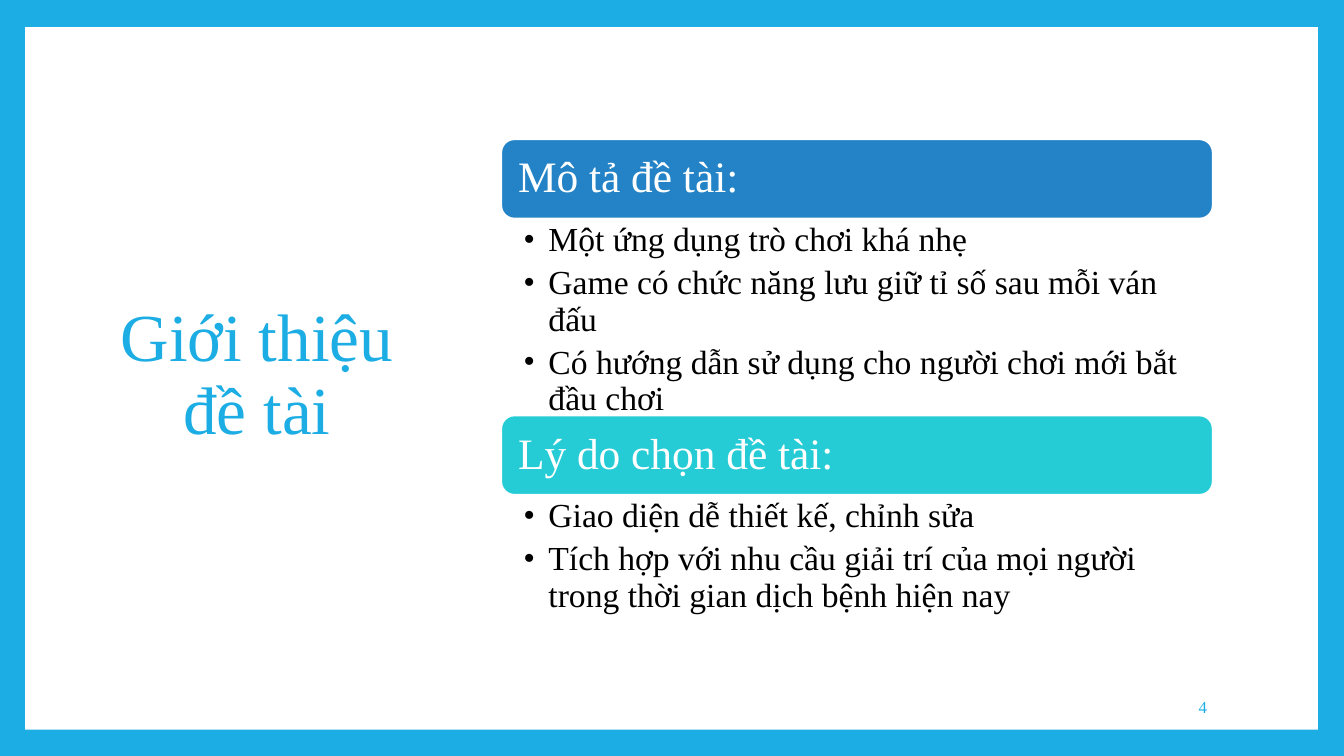
from dataclasses import dataclass

from lxml.etree import SubElement
from pptx import Presentation
from pptx.dml.color import RGBColor
from pptx.enum.shapes import MSO_SHAPE as Shp
from pptx.enum.text import MSO_ANCHOR as Anchor, PP_ALIGN as Align
from pptx.oxml.ns import qn
from pptx.shapes.autoshape import Shape
from pptx.slide import Slide
from pptx.text.text import TextFrame, _Paragraph as Paragraph
from pptx.util import Inches, Pt


@dataclass(frozen=True)
class Theme:
    font: str = "Times New Roman"
    accent: str = "1CADE4"
    paper: str = "FFFFFF"
    ink: str = "000000"
    title_size: float = 48
    heading_size: float = 31
    bullet_size: float = 24
    number_size: float = 12
    line_spacing: float = 0.9


@dataclass(frozen=True)
class Box:
    left: float
    top: float
    width: float
    height: float

    def lengths(self) -> list[int]:
        return [Inches(v) for v in (self.left, self.top, self.width, self.height)]


@dataclass(frozen=True)
class Section:
    heading: str
    color: str
    bullets: tuple[str, ...]
    body_height: float


THEME = Theme()
LIST_LEFT, LIST_TOP, LIST_WIDTH, HEADING_HEIGHT = 4.97, 1.38, 7.06, 0.79
SECTIONS = (
    Section("Mô tả đề tài:", "2383C6", (
        "Một ứng dụng trò chơi khá nhẹ",
        "Game có chức năng lưu giữ tỉ số sau mỗi ván đấu",
        "Có hướng dẫn sử dụng cho người chơi mới bắt đầu chơi",
    ), 1.95),
    Section("Lý do chọn đề tài:", "25CCD6", (
        "Giao diện dễ thiết kế, chỉnh sửa",
        "Tích hợp với nhu cầu giải trí của mọi người trong thời gian dịch bệnh hiện nay",
    ), 1.23),
)


def rgb(color: str) -> RGBColor:
    return RGBColor.from_string(color)


def add_run(p: Paragraph, text: str, size: float, color: str) -> None:
    r = p.add_run()
    r.text = text
    r.font.name = THEME.font
    r.font.size = Pt(size)
    r.font.color.rgb = rgb(color)


def set_frame(tf: TextFrame, anchor: Anchor, left: float = 0.1,
              right: float = 0.1, edge: float = 0.05) -> None:
    """Wrap the text and set its anchor and insets, in inches."""
    tf.word_wrap = True
    tf.vertical_anchor = anchor
    tf.margin_left, tf.margin_right = Inches(left), Inches(right)
    tf.margin_top = tf.margin_bottom = Inches(edge)


def add_shape(s: Slide, kind: Shp, box: Box, color: str) -> Shape:
    sp = s.shapes.add_shape(kind, *box.lengths())
    sp.shadow.inherit = False
    sp.fill.solid()
    sp.fill.fore_color.rgb = rgb(color)
    sp.line.fill.background()
    return sp


def add_label(s: Slide, box: Box, text: str, size: float, align: Align,
              spacing: float = 1.0) -> None:
    tf = s.shapes.add_textbox(*box.lengths()).text_frame
    set_frame(tf, Anchor.MIDDLE)
    p = tf.paragraphs[0]
    p.alignment = align
    p.line_spacing = spacing
    add_run(p, text, size, THEME.accent)


def add_heading(s: Slide, box: Box, section: Section) -> None:
    sp = add_shape(s, Shp.ROUNDED_RECTANGLE, box, section.color)
    sp.line.color.rgb = rgb(THEME.paper)
    sp.line.width = Pt(1.5)
    tf = sp.text_frame
    set_frame(tf, Anchor.MIDDLE, 0.13, 0.13, 0.13)
    p = tf.paragraphs[0]
    p.alignment = Align.LEFT
    p.line_spacing = THEME.line_spacing
    add_run(p, section.heading, THEME.heading_size, THEME.paper)


def set_bullet(p: Paragraph) -> None:
    pPr = p._p.get_or_add_pPr()
    pPr.set("marL", str(Inches(0.25)))
    pPr.set("indent", str(Inches(-0.25)))
    color = SubElement(pPr, qn("a:buClr"))
    SubElement(color, qn("a:srgbClr"), val=THEME.ink)
    SubElement(pPr, qn("a:buFont"), typeface=THEME.font)
    SubElement(pPr, qn("a:buChar"), char="•")


def add_bullets(s: Slide, box: Box, bullets: tuple[str, ...]) -> None:
    tf = s.shapes.add_textbox(*box.lengths()).text_frame
    set_frame(tf, Anchor.TOP, 0.22, 0.24, 0.04)
    for i, text in enumerate(bullets):
        p = tf.add_paragraph() if i else tf.paragraphs[0]
        set_bullet(p)
        p.line_spacing = THEME.line_spacing
        if i:
            p.space_before = Pt(4.8)
        add_run(p, text, THEME.bullet_size, THEME.ink)


def main() -> None:
    prs = Presentation()
    prs.slide_width, prs.slide_height = Inches(13.33), Inches(7.5)
    s = prs.slides.add_slide(prs.slide_layouts[6])
    s.background.fill.solid()
    s.background.fill.fore_color.rgb = rgb(THEME.accent)

    add_shape(s, Shp.RECTANGLE, Box(0.25, 0.27, 12.82, 6.97), THEME.paper)
    add_label(s, Box(0.71, 0.67, 3.68, 6.13), "Giới thiệu đề tài",
              THEME.title_size, Align.CENTER, THEME.line_spacing)
    add_label(s, Box(10.2, 6.81, 1.87, 0.4), "4", THEME.number_size, Align.RIGHT)

    top = LIST_TOP
    for section in SECTIONS:
        add_heading(s, Box(LIST_LEFT, top, LIST_WIDTH, HEADING_HEIGHT), section)
        top += HEADING_HEIGHT
        add_bullets(s, Box(LIST_LEFT, top, LIST_WIDTH, section.body_height),
                    section.bullets)
        top += section.body_height

    prs.save("out.pptx")


if __name__ == "__main__":
    main()
